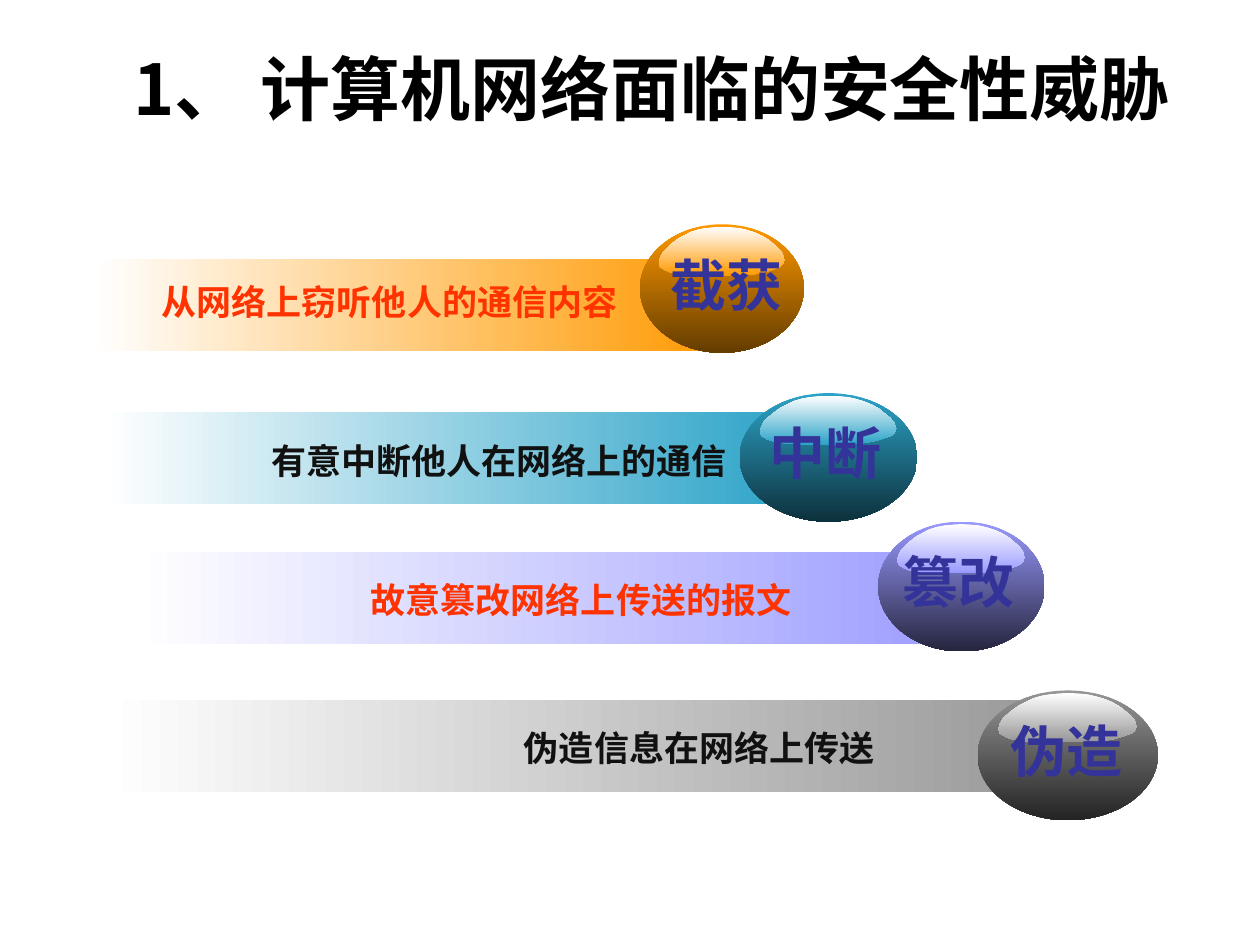
from collections import namedtuple
from dataclasses import dataclass

from pptx import Presentation
from pptx.dml.color import RGBColor
from pptx.enum.shapes import MSO_SHAPE
from pptx.enum.text import MSO_ANCHOR, MSO_AUTO_SIZE, PP_ALIGN
from pptx.util import Inches, Pt


@dataclass(frozen=True)
class Theme:
    font: str = "Arial"
    title_font: str = "Noto Sans CJK SC"
    title_size: int = 40
    label_size: int = 32
    caption_size: int = 20
    title: str = "000000"
    label: str = "333399"
    alert: str = "FF3300"
    dark: str = "111111"
    white: str = "FFFFFF"


THEME = Theme()
Box = namedtuple("Box", "left top width height")
Threat = namedtuple("Threat", "label caption caption_color color shade bar oval label_box caption_box")

THREATS = [
    Threat("伪造", "伪造信息在网络上传送", THEME.dark, "969696", "242424",
           Box(0.83, 5.56, 7.74, 0.73), Box(7.76, 5.48, 1.43, 1.03),
           Box(7.92, 5.64, 1.09, 0.64), Box(2.8, 5.72, 4.24, 0.44)),
    Threat("中断", "有意中断他人在网络上的通信", THEME.dark, "2CA3C8", "0D313C",
           Box(0.83, 3.27, 5.5, 0.73), Box(5.87, 3.12, 1.41, 1.02),
           Box(6.01, 3.27, 1.09, 0.64), Box(1.77, 3.44, 4.1, 0.44)),
    Threat("篡改", "故意篡改网络上传送的报文", THEME.alert, "9999FF", "25253E",
           Box(1.06, 4.38, 6.82, 0.73), Box(6.97, 4.14, 1.32, 1.03),
           Box(7.06, 4.3, 1.09, 0.64), Box(2.16, 4.54, 4.22, 0.44)),
    Threat("截获", "从网络上窃听他人的通信内容", THEME.alert, "FF9900", "643C00",
           Box(0.75, 2.06, 4.98, 0.73), Box(5.08, 1.78, 1.3, 1.02),
           Box(5.13, 1.94, 1.27, 0.64), Box(1.14, 2.18, 3.86, 0.44)),
]

GLOSS_OUTLINE = [
    (98, 55), (99, 63), (100, 68), (99, 73), (98, 77), (96, 82), (93, 85),
    (90, 88), (86, 91), (82, 94), (78, 96), (73, 98), (67, 99), (60, 100),
    (35, 100), (26, 99), (17, 97), (10, 94), (5, 89), (1, 82), (0, 74),
    (1, 63), (3, 53), (7, 42), (11, 33), (15, 25), (20, 18), (25, 11),
    (31, 6), (37, 3), (44, 1), (50, 0), (57, 1), (64, 3), (70, 7), (76, 12),
    (82, 19), (87, 27), (91, 36), (95, 45),
]


def inches(box):
    return [Inches(v) for v in box]


def paint(sp, start, end, angle):
    sp.shadow.inherit = False
    sp.line.fill.background()
    sp.fill.gradient()
    sp.fill.gradient_angle = angle
    for stop, color in zip(sp.fill.gradient_stops, (start, end)):
        stop.color.rgb = RGBColor.from_string(color)


def write(tf, text, align, font, size, color):
    p = tf.paragraphs[0]
    p.alignment = align
    r = p.add_run()
    r.text = text
    r.font.name = font
    r.font.size = Pt(size)
    r.font.bold = True
    r.font.color.rgb = RGBColor.from_string(color)


def add_text(shapes, box, text, align, size, color, wrap):
    tf = shapes.add_textbox(*inches(box)).text_frame
    tf.word_wrap = wrap
    tf.auto_size = MSO_AUTO_SIZE.SHAPE_TO_FIT_TEXT
    write(tf, text, align, THEME.font, size, color)


def add_gloss(shapes, oval, color):
    left, top = oval.left + 0.115 * oval.width, oval.top + 0.02
    width, height = 0.77 * oval.width, 0.38 * oval.height
    points = [(Inches(left + width * x / 100), Inches(top + height * y / 100))
              for x, y in GLOSS_OUTLINE]
    builder = shapes.build_freeform(*points[0])
    builder.add_line_segments(points[1:], close=True)
    paint(builder.convert_to_shape(), THEME.white, color, 270)


def add_threat(s, threat):
    shapes = s.shapes.add_group_shape().shapes
    bar = shapes.add_shape(MSO_SHAPE.RECTANGLE, *inches(threat.bar))
    paint(bar, THEME.white, threat.color, 0)
    oval = shapes.add_shape(MSO_SHAPE.OVAL, *inches(threat.oval))
    paint(oval, threat.color, threat.shade, 270)
    add_gloss(shapes, threat.oval, threat.color)
    add_text(shapes, threat.label_box, threat.label, PP_ALIGN.CENTER,
             THEME.label_size, THEME.label, False)


def add_caption(s, threat):
    add_text(s.shapes, threat.caption_box, threat.caption, PP_ALIGN.RIGHT,
             THEME.caption_size, threat.caption_color, True)


def add_title(s, box, text):
    sp = s.shapes.title
    sp.left, sp.top, sp.width, sp.height = inches(box)
    tf = sp.text_frame
    tf.auto_size = MSO_AUTO_SIZE.NONE
    tf.vertical_anchor = MSO_ANCHOR.MIDDLE
    write(tf, text, PP_ALIGN.CENTER, THEME.title_font, THEME.title_size, THEME.title)


def main():
    prs = Presentation()
    prs.slide_width, prs.slide_height = Inches(10), Inches(7.5)
    s = prs.slides.add_slide(prs.slide_layouts[5])
    add_title(s, Box(0.67, 0.36, 9.13, 0.67), "1、 计算机网络面临的安全性威胁 ")
    for threat in THREATS:
        add_threat(s, threat)
    for threat in THREATS:
        add_caption(s, threat)
    prs.save("out.pptx")


if __name__ == "__main__":
    main()
